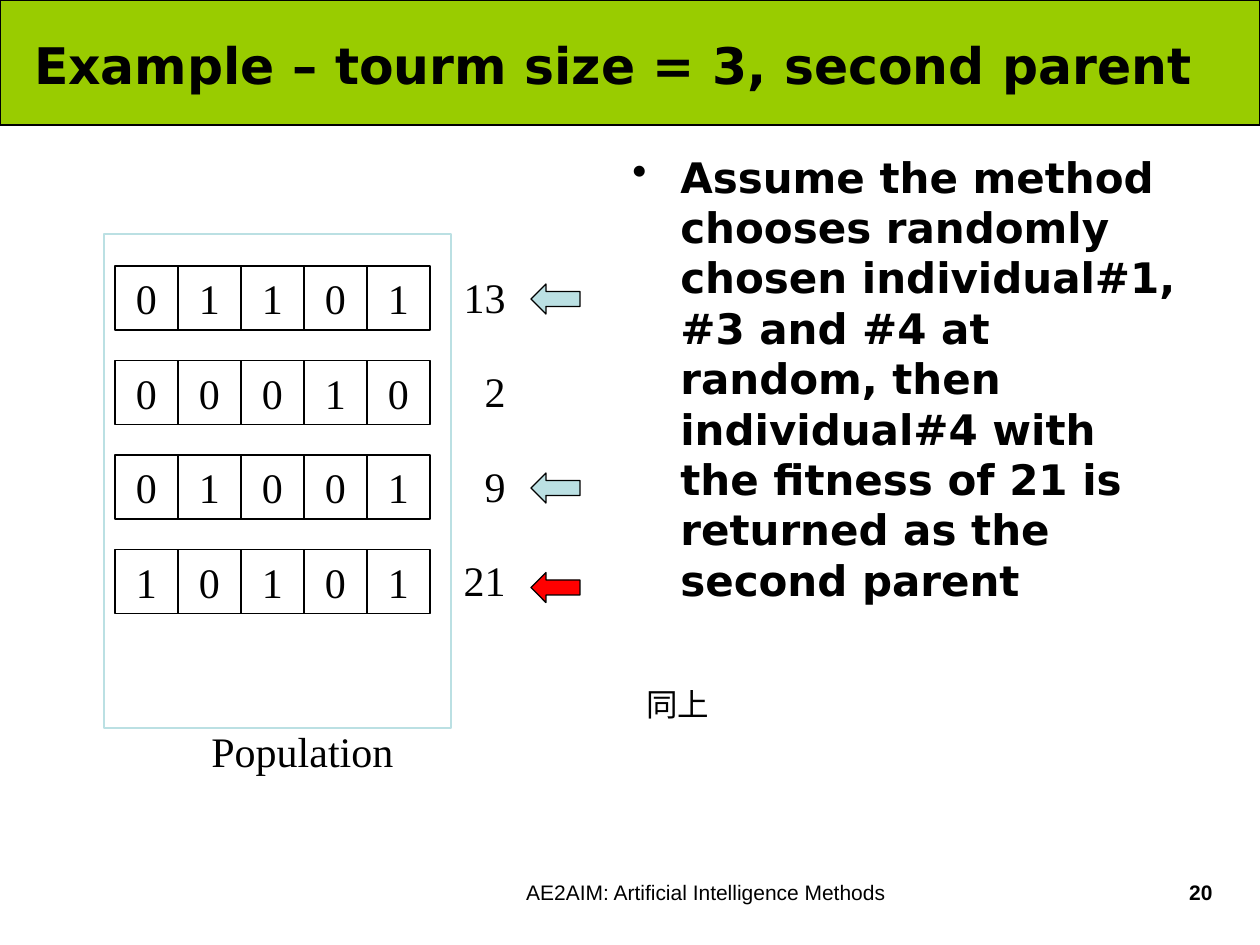
"""Build the slide on picking the second parent by tournament."""
from pptx import Presentation
from pptx.dml.color import RGBColor
from pptx.enum.shapes import MSO_SHAPE as Kind
from pptx.enum.text import MSO_ANCHOR as Anchor, PP_ALIGN as Align
from pptx.oxml import parse_xml
from pptx.oxml.ns import nsdecls
from pptx.util import Emu, Pt

BLACK = RGBColor(0x00, 0x00, 0x00)
GREEN = RGBColor(0x99, 0xCC, 0x00)
PALE = RGBColor(0xBB, 0xE0, 0xE3)
RED = RGBColor(0xFF, 0x00, 0x00)
SANS, SERIF, SMALL = "DejaVu Sans", "Times New Roman", "Arial"

TITLE = "Example – tourm size = 3, second parent"
POINT = ("Assume the method chooses randomly chosen individual#1, #3 and #4 "
         "at random, then individual#4 with the fitness of 21 is returned "
         "as the second parent")
ROWS = [
    ("01101", "13", PALE, 18),
    ("00010", "2", None, 0),
    ("01001", "9", PALE, 18),
    ("10101", "21", RED, 23),
]
LABELS = [
    ("Population", (199, 719, 252, 63), 24, SERIF, False, Align.LEFT),
    ("同上", (634, 679, 420, 50), 18, SERIF, False, Align.LEFT),
    ("AE2AIM: Artificial Intelligence Methods", (359, 873, 694, 65), 12, SMALL, False, Align.CENTER),
    ("20", (1086, 873, 139, 65), 12, SMALL, True, Align.RIGHT),
]
LEFT, TOP, CELL, TALL = 115, 266, 63, 64
PITCH = 189 / 2


def px(n):
    return Emu(round(n * 914400 / 126))


def write(shape, text, size, font, bold=False, align=Align.LEFT, anchor=Anchor.TOP):
    frame = shape.text_frame
    frame.word_wrap = True
    frame.vertical_anchor = anchor
    para = frame.paragraphs[0]
    para.alignment = align
    run = para.add_run()
    run.text = text
    run.font.size = Pt(size)
    run.font.name = font
    run.font.bold = bold
    run.font.color.rgb = BLACK
    return para


def label(shapes, text, box, *style):
    return write(shapes.add_textbox(*map(px, box)), text, *style)


def draw(shapes, kind, box, fill, line, width):
    shape = shapes.add_shape(kind, *map(px, box))
    shape.shadow.inherit = False
    if fill is None:
        shape.fill.background()
    else:
        shape.fill.solid()
        shape.fill.fore_color.rgb = fill
    shape.line.color.rgb = line
    shape.line.width = Pt(width)
    return shape


def bullet(para):
    props = para._p.get_or_add_pPr()
    props.set("marL", str(px(48)))
    props.set("indent", str(-px(48)))
    props.append(parse_xml(f'<a:buChar {nsdecls("a")} char="•"/>'))


def main():
    deck = Presentation()
    deck.slide_width, deck.slide_height = px(1260), px(945)
    shapes = deck.slides.add_slide(deck.slide_layouts[6]).shapes

    draw(shapes, Kind.RECTANGLE, (0, 0, 1260, 125), GREEN, BLACK, 0.75)
    label(shapes, TITLE, (0, 3, 1226, 123), 28.8, SANS, True, Align.CENTER, Anchor.MIDDLE)
    para = label(shapes, POINT, (620, 145, 578, 704), 24, SANS, True)
    para.line_spacing = Pt(28.8)
    bullet(para)

    draw(shapes, Kind.RECTANGLE, (104, 234, 347, 494), None, PALE, 1)
    for i, (genes, score, tint, drop) in enumerate(ROWS):
        top = TOP + i * PITCH
        group = shapes.add_group_shape()
        for j, gene in enumerate(genes):
            box = (LEFT + j * CELL, top, CELL, TALL)
            cell = draw(group.shapes, Kind.RECTANGLE, box, None, BLACK, 1)
            write(cell, gene, 24, SERIF, False, Align.CENTER, Anchor.MIDDLE)
        label(shapes, score, (441, top - 1, 77, 63), 24, SERIF, False, Align.RIGHT)
        if tint is not None:
            draw(shapes, Kind.LEFT_ARROW, (531, top + drop, 49, 30), tint, BLACK, 0.75)

    for item in LABELS:
        label(shapes, *item)
    deck.save("out.pptx")


if __name__ == "__main__":
    main()
